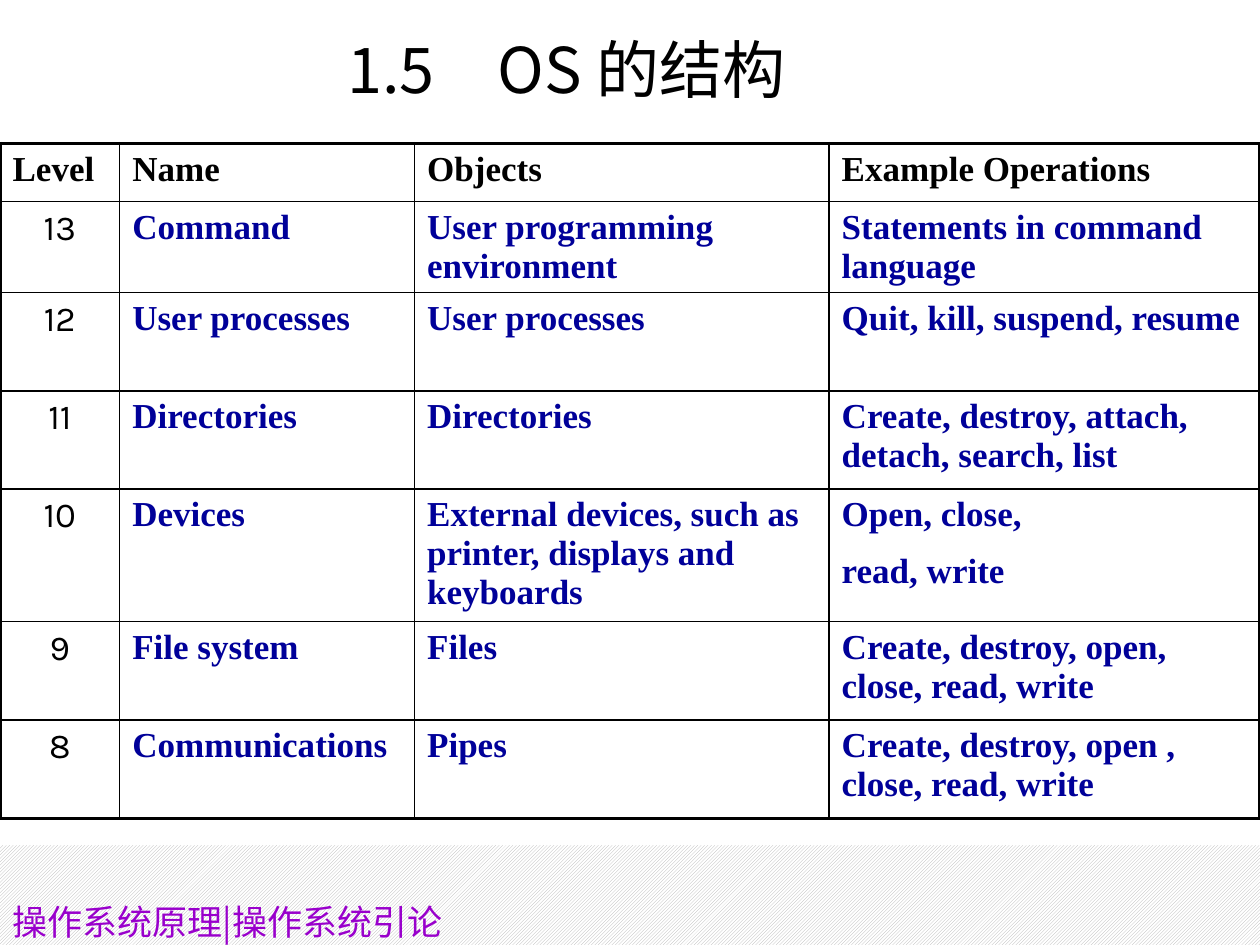
from dataclasses import dataclass

from lxml import etree
from pptx import Presentation
from pptx.dml.color import RGBColor
from pptx.enum.dml import MSO_PATTERN
from pptx.enum.shapes import MSO_SHAPE
from pptx.enum.text import MSO_ANCHOR, PP_ALIGN
from pptx.oxml.ns import qn
from pptx.util import Pt

RECTANGLE = MSO_SHAPE.RECTANGLE
DIAGONAL = MSO_PATTERN.DARK_UPWARD_DIAGONAL
LEFT, CENTER = PP_ALIGN.LEFT, PP_ALIGN.CENTER
TOP, MIDDLE = MSO_ANCHOR.TOP, MSO_ANCHOR.MIDDLE


@dataclass(frozen=True)
class Theme:
    """Colours, fonts and type sizes of the slide."""
    black: str = "000000"
    white: str = "FFFFFF"
    navy: str = "000099"
    purple: str = "9900CC"
    hatch: str = "B2B2B2"
    heading_font: str = "Noto Sans CJK SC"
    table_font: str = "Times New Roman"
    level_font: str = "Karla"
    title_size: int = 36
    body_size: int = 20
    outer_line: float = 2.25
    inner_line: float = 1


THEME = Theme()
SLIDE_WIDTH, SLIDE_HEIGHT = 720, 540
TABLE_TOP = 82
COLUMN_WIDTHS = [68.4, 168.5, 236.9, 246.2]
ROW_HEIGHTS = [33.2, 52, 56.2, 56.2, 74.9, 56.2, 56.2]
LEVELS = [
    ("Level", "Name", "Objects", "Example Operations"),
    ("13", "Command", "User programming environment", "Statements in command language"),
    ("12", "User processes", "User processes", "Quit, kill, suspend, resume"),
    ("11", "Directories", "Directories", "Create, destroy, attach,\ndetach, search, list"),
    ("10", "Devices", "External devices, such as printer, displays and keyboards",
     "Open, close,\nread, write"),
    ("9", "File system", "Files", "Create, destroy, open, close, read, write"),
    ("8", "Communications", "Pipes", "Create, destroy, open , close, read, write"),
]
SPACED_LEVEL = "10"


def write_text(frame, text, *, font, color, size=THEME.body_size, bold=False,
               align=LEFT, gap=0):
    """Fill a text frame with one formatted paragraph per line of text."""
    for index, line in enumerate(text.split("\n")):
        paragraph = frame.paragraphs[0] if index == 0 else frame.add_paragraph()
        paragraph.alignment = align
        paragraph.space_before = Pt(gap if index else 0)
        run = paragraph.add_run()
        run.text = line
        run.font.name = font
        run.font.size = Pt(size)
        run.font.bold = bold
        run.font.color.rgb = RGBColor.from_string(color)
        etree.SubElement(run.font._element, qn("a:ea"), typeface=font)


def add_text_box(slide, text, left, top, width, height, *, left_inset=7.2,
                 anchor=TOP, **text_format):
    """Add a wrapping text box."""
    frame = slide.shapes.add_textbox(Pt(left), Pt(top), Pt(width), Pt(height)).text_frame
    frame.word_wrap = True
    frame.vertical_anchor = anchor
    frame.margin_left = Pt(left_inset)
    write_text(frame, text, **text_format)


def add_footer_band(slide, top):
    """Add the hatched band along the bottom edge."""
    band = slide.shapes.add_shape(
        RECTANGLE, 0, Pt(top), Pt(SLIDE_WIDTH), Pt(SLIDE_HEIGHT - top))
    band.shadow.inherit = False
    band.line.fill.background()
    band.fill.patterned()
    band.fill.pattern = DIAGONAL
    band.fill.fore_color.rgb = RGBColor.from_string(THEME.hatch)
    band.fill.back_color.rgb = RGBColor.from_string(THEME.white)


def set_borders(cell, outer_edges):
    """Draw the four borders of a cell, heavier on the table's outer edges."""
    properties = cell._tc.get_or_add_tcPr()
    for position, (edge, is_outer) in enumerate(outer_edges.items()):
        weight = THEME.outer_line if is_outer else THEME.inner_line
        border = etree.Element(qn(f"a:ln{edge}"), w=str(int(Pt(weight))))
        fill = etree.SubElement(border, qn("a:solidFill"))
        etree.SubElement(fill, qn("a:srgbClr"), val=THEME.black)
        properties.insert(position, border)


def cell_format(row, column):
    """Return the text format for a place in the table."""
    if row == 0:
        return dict(font=THEME.table_font, color=THEME.black, bold=True)
    if column == 0:
        return dict(font=THEME.level_font, color=THEME.black, align=CENTER)
    return dict(font=THEME.table_font, color=THEME.navy, bold=True)


def add_level_table(slide):
    """Add the table of operating system levels."""
    last_row, last_column = len(LEVELS) - 1, len(COLUMN_WIDTHS) - 1
    table = slide.shapes.add_table(
        len(LEVELS), len(COLUMN_WIDTHS), 0, Pt(TABLE_TOP),
        Pt(sum(COLUMN_WIDTHS)), Pt(sum(ROW_HEIGHTS))).table
    table.first_row = table.horz_banding = False
    for column, width in enumerate(COLUMN_WIDTHS):
        table.columns[column].width = Pt(width)
    for row, (height, level) in enumerate(zip(ROW_HEIGHTS, LEVELS)):
        table.rows[row].height = Pt(height)
        gap = THEME.body_size / 2 if level[0] == SPACED_LEVEL else 0
        for column, text in enumerate(level):
            cell = table.cell(row, column)
            cell.fill.background()
            cell.margin_bottom = 0
            write_text(cell.text_frame, text, gap=gap, **cell_format(row, column))
            set_borders(cell, {"L": column == 0, "R": column == last_column,
                               "T": row == 0, "B": row == last_row})


def main():
    """Build and save the slide."""
    presentation = Presentation()
    presentation.slide_width, presentation.slide_height = Pt(SLIDE_WIDTH), Pt(SLIDE_HEIGHT)
    slide = presentation.slides.add_slide(presentation.slide_layouts[6])
    add_footer_band(slide, 483)
    add_text_box(slide, "操作系统原理|操作系统引论", 0, 512, SLIDE_WIDTH, 29,
                 anchor=MIDDLE, font=THEME.heading_font, color=THEME.purple)
    add_level_table(slide)
    add_text_box(slide, "1.5　OS 的结构", 35, 14, 569, 88, left_inset=15,
                 font=THEME.heading_font, color=THEME.black,
                 size=THEME.title_size, align=CENTER)
    presentation.save("out.pptx")


if __name__ == "__main__":
    main()
